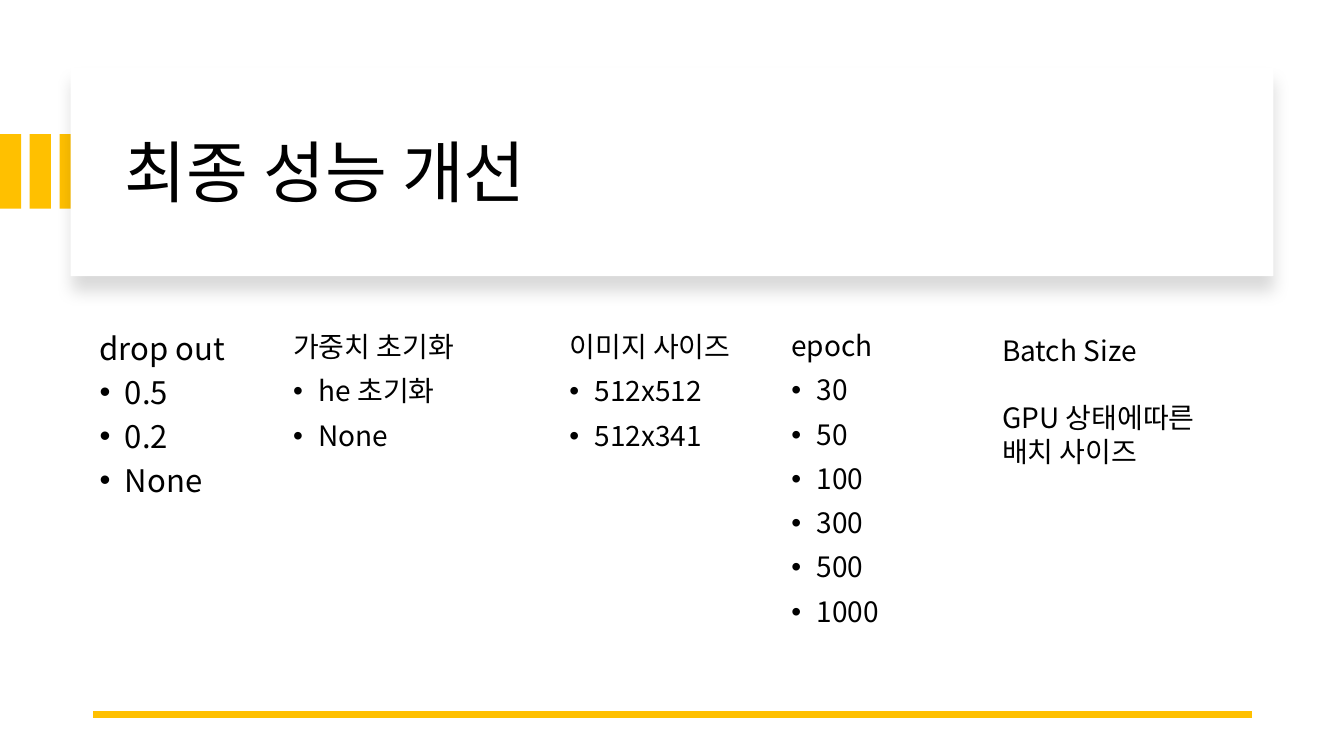
from lxml.etree import SubElement
from pptx import Presentation
from pptx.dml.color import RGBColor
from pptx.enum.shapes import MSO_CONNECTOR as Connector, MSO_SHAPE as Shape
from pptx.enum.text import MSO_ANCHOR as Anchor
from pptx.oxml.ns import qn
from pptx.util import Inches, Pt

TITLE = "최종 성능 개선"
# heading, bullet items, box (left, top, width, height), type size, line spacing, anchor
COLUMNS = [
    ("drop\u00a0out", ["0.5", "0.2", "None"],
     (0.89, 3.25, 2.06, 1.78), "first_column", 0.8, Anchor.MIDDLE),
    ("가중치 초기화", ["he 초기화", "None"],
     (2.81, 3.26, 3.2, 4.77), "column", 0.9, Anchor.TOP),
    ("이미지 사이즈", ["512x512", "512x341"],
     (5.55, 3.26, 3.2, 4.77), "column", 0.9, Anchor.TOP),
    ("epoch", ["30", "50", "100", "300", "500", "1000"],
     (7.75, 3.25, 3.2, 4.77), "column", 0.9, Anchor.TOP),
]
BATCH_SIZE = ["Batch Size", "GPU\u00a0상태에따른", "배치 사이즈"]
BATCH_BOX = (9.84, 3.26, 3.2, 4.77)

THEME = {
    "font": "Noto Sans CJK KR",
    "text": RGBColor(0x00, 0x00, 0x00),
    "card": RGBColor(0xFF, 0xFF, 0xFF),
    "accent": RGBColor(0xFF, 0xC0, 0x00),
    "sizes": {"title": 48, "first_column": 22.2, "column": 20},
}


def add_block(shapes, box, fill):
    block = shapes.add_shape(Shape.RECTANGLE, *map(Inches, box))
    block.shadow.inherit = False
    block.fill.solid()
    block.fill.fore_color.rgb = fill
    block.line.fill.background()
    return block


def add_soft_shadow(block):
    effects = block.element.spPr.find(qn("a:effectLst"))
    shadow = SubElement(effects, qn("a:outerShdw"), blurRad=str(Pt(11)),
                        dist=str(Pt(10)), dir="5400000", algn="t", rotWithShape="0")
    color = SubElement(shadow, qn("a:srgbClr"), val="000000")
    SubElement(color, qn("a:alpha"), val="15000")


def add_text(shapes, box, lines, size, anchor=Anchor.TOP):
    frame = shapes.add_textbox(*map(Inches, box)).text_frame
    frame.word_wrap = True
    frame.vertical_anchor = anchor
    frame.text = "\n".join(lines)
    for paragraph in frame.paragraphs:
        for run in paragraph.runs:
            run.font.size = Pt(THEME["sizes"][size])
            run.font.name = THEME["font"]
            run.font.color.rgb = THEME["text"]
            SubElement(run.font._element, qn("a:ea"), typeface=THEME["font"])
    return frame.paragraphs


def add_bullet(paragraph):
    props = paragraph._p.get_or_add_pPr()
    props.set("marL", str(Inches(0.25)))
    props.set("indent", str(Inches(-0.25)))
    SubElement(props, qn("a:buFont"), typeface="Arial")
    SubElement(props, qn("a:buChar"), char="•")


def main():
    deck = Presentation()
    deck.slide_width, deck.slide_height = Inches(13.33), Inches(7.5)
    shapes = deck.slides.add_slide(deck.slide_layouts[6]).shapes

    # Accent stripes, partly covered by the title card
    stripes = shapes.add_group_shape().shapes
    for i in range(3):
        add_block(stripes, (i * 0.295, 1.33, 0.21, 0.74), THEME["accent"])

    # Title card
    add_soft_shadow(add_block(shapes, (0.7, 0.67, 11.93, 2.07), THEME["card"]))
    title = add_text(shapes, (1.14, 0.89, 10.87, 1.7), [TITLE], "title", Anchor.MIDDLE)
    title[0].line_spacing = 0.9

    # Bulleted columns
    for heading, items, box, size, spacing, anchor in COLUMNS:
        paragraphs = add_text(shapes, box, [heading, *items], size, anchor)
        for paragraph in paragraphs:
            paragraph.line_spacing = spacing
            paragraph.space_before = Pt(10)
        for paragraph in paragraphs[1:]:
            add_bullet(paragraph)

    # Batch size column, with one line of space under its heading
    batch = add_text(shapes, BATCH_BOX, BATCH_SIZE, "column")
    batch[1].space_before = Pt(24)

    # Bottom rule
    rule = shapes.add_connector(Connector.STRAIGHT, Inches(12.42), Inches(7.09),
                                Inches(0.92), Inches(7.09))
    rule.line.color.rgb = THEME["accent"]
    rule.line.width = Pt(4.5)
    SubElement(rule._element.spPr, qn("a:effectLst"))

    deck.save("out.pptx")


if __name__ == "__main__":
    main()
